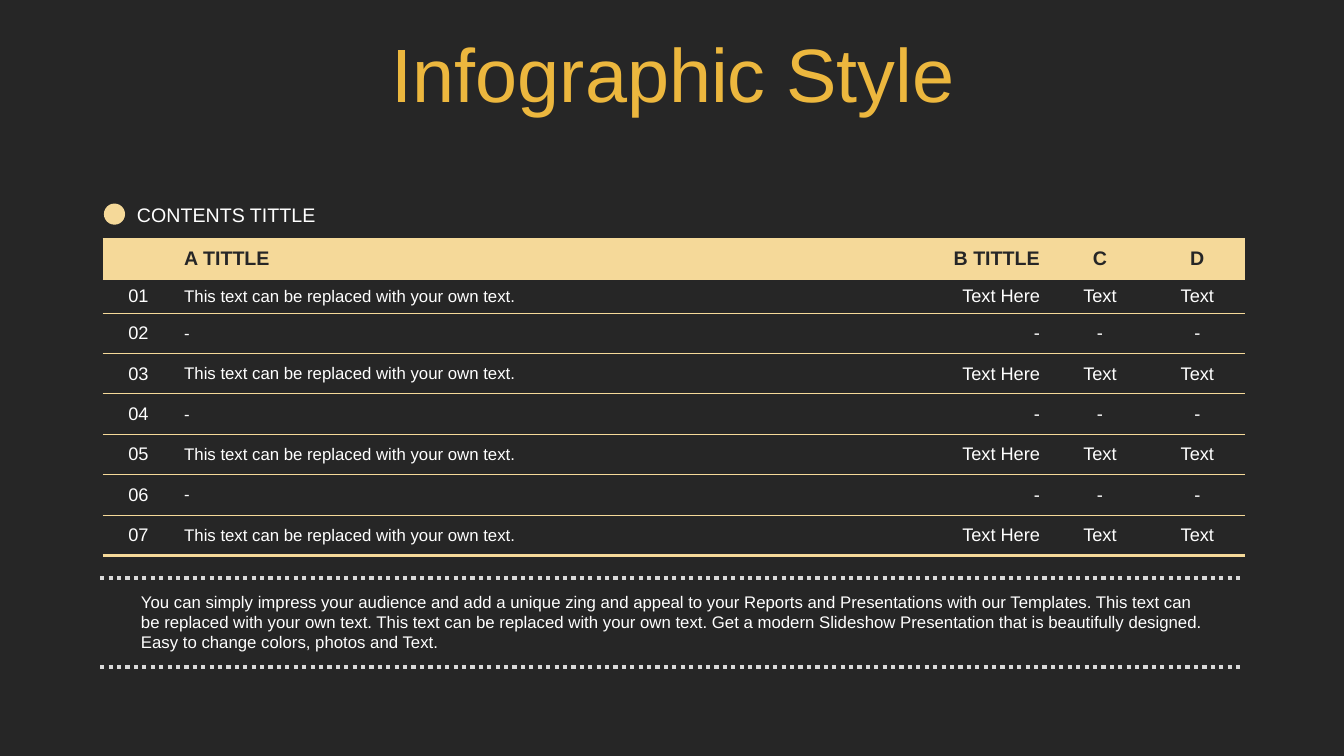
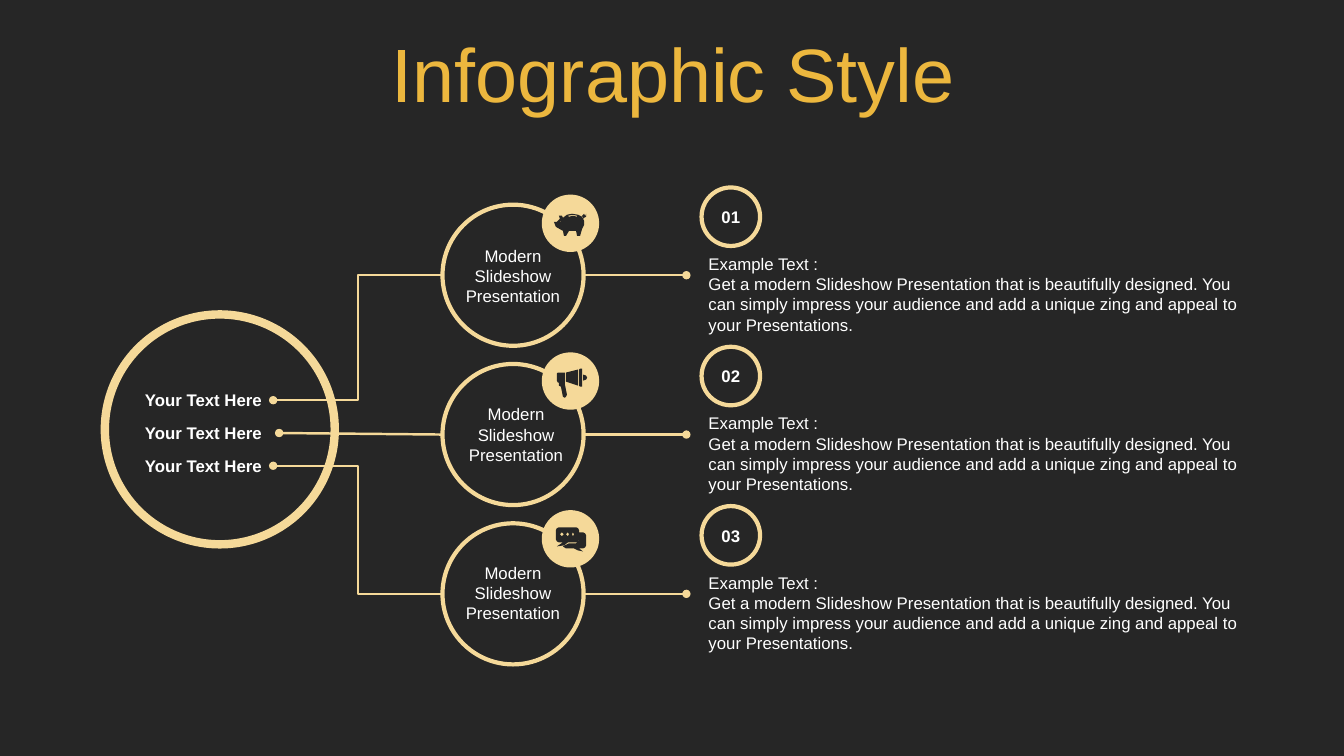
from lxml.etree import SubElement
from pptx import Presentation
from pptx.dml.color import RGBColor
from pptx.enum.dml import MSO_LINE
from pptx.enum.shapes import MSO_CONNECTOR, MSO_SHAPE
from pptx.enum.text import MSO_ANCHOR, PP_ALIGN
from pptx.oxml.ns import qn
from pptx.util import Pt

DARK, GOLD, SAND, WHITE, GREY = "262626", "ECB73E", "F5D999", "FFFFFF", "D9D9D9"
FONT = "Arial"
NO_TABLE_STYLE = "{2D5ABB26-0587-4C30-8999-92F81FD0307C}"
LEFT, CENTER, RIGHT = PP_ALIGN.LEFT, PP_ALIGN.CENTER, PP_ALIGN.RIGHT

TITLE = "Infographic Style"

# Table slide
TABLE_TITLE = "CONTENTS TITTLE"
HEADER = ("", "A TITTLE", "B TITTLE", "C", "D")
FULL_ROW = ("This text can be replaced with your own text.", "Text Here", "Text", "Text")
EMPTY_ROW = ("-",) * 4
ROWS = [HEADER] + [(f"{n:02}", *(FULL_ROW if n % 2 else EMPTY_ROW)) for n in range(1, 8)]
COL_WIDTHS = (51, 419, 206.6, 71.4, 67.8)
COL_ALIGNS = (CENTER, LEFT, RIGHT, CENTER, CENTER)
COL_SIZES = (13, 12, 13, 13, 13)
ROW_HEIGHTS = [27.4, 24.2] + [28.9] * 6
FOOTNOTE = (
    "You can simply impress your audience and add a unique zing and appeal to your "
    "Reports and Presentations with our Templates. This text can be replaced with your "
    "own text. This text can be replaced with your own text. Get a modern Slideshow "
    "Presentation that is beautifully designed. Easy to change colors, photos and Text."
)

# Diagram slide
HUB_LABEL = "Your Text Here"
NODE_TEXT = "Modern Slideshow Presentation"
DETAIL = [
    "Example Text :",
    "Get a modern Slideshow Presentation that is beautifully designed. You can simply "
    "impress your audience and add a unique zing and appeal to your Presentations.",
]

# Icon outlines, in hundredths of an inch from the corner of the badge
PIG = [
    [(30, 19), (36, 20), (40, 22), (40, 23), (41, 23), (40, 21), (42, 19), (43, 21),
     (43, 22), (44, 19), (44, 22), (42, 23), (41, 24), (42, 26), (42, 30), (40, 34),
     (38, 41), (35, 41), (34, 36), (27, 36), (24, 41), (22, 41), (21, 36), (14, 32),
     (12, 27), (15, 27), (18, 24), (17, 21), (20, 21), (21, 23), (25, 20)],
    [(18, 26), (19, 27), (18, 27)],
    [(26, 21), (27, 22), (31, 21), (35, 22), (35, 21), (31, 20)],
]
MEGAPHONE = [
    [(23, 30), (23, 32), (25, 42), (24, 44), (23, 45), (21, 44), (19, 34), (17, 33), (17, 30)],
    [(41, 22), (44, 23), (45, 25), (44, 27), (41, 28)],
    [(16, 20), (23, 20), (23, 30), (16, 30), (15, 28), (15, 21)],
    [(36, 17), (36, 33), (24, 29), (24, 20)],
    [(38, 16), (40, 16), (40, 34), (38, 34), (37, 33), (37, 17)],
]
CHAT = [
    [(17, 17), (34, 17), (36, 18), (37, 20), (37, 29), (36, 31), (34, 32), (26, 32),
     (22, 35), (15, 36), (21, 32), (17, 32), (15, 31), (14, 29), (14, 20), (15, 18)],
    [(37, 22), (41, 22), (43, 23), (44, 25), (44, 35), (43, 37), (41, 38), (37, 38),
     (41, 41), (36, 40), (32, 38), (24, 38), (21, 36), (27, 33), (34, 33), (37, 30)],
] + [[(x - 1.5, 24), (x, 22.5), (x + 1.5, 24), (x, 25.5)] for x in (20, 25.5, 31)]
ICONS = (PIG, MEGAPHONE, CHAT)


def rgb(color):
    return RGBColor.from_string(color)


def write(tf, text, size=12, color=WHITE, bold=False, align=LEFT, spacing=None):
    """Fill a text frame with one paragraph, or one for each item of a list."""
    for i, line in enumerate([text] if isinstance(text, str) else text):
        p = tf.add_paragraph() if i else tf.paragraphs[0]
        p.alignment = align
        if spacing:
            p.line_spacing = spacing
        r = p.add_run()
        r.text = line
        r.font.name, r.font.size, r.font.bold = FONT, Pt(size), bold
        r.font.color.rgb = rgb(color)


def add_text(slide, text, x, y, w, h, anchor=MSO_ANCHOR.TOP, **fmt):
    tf = slide.shapes.add_textbox(Pt(x), Pt(y), Pt(w), Pt(h)).text_frame
    tf.word_wrap = True
    tf.vertical_anchor = anchor
    write(tf, text, **fmt)


def add_circle(slide, x, y, size, ring=None):
    """Add a filled disc, or an open ring when a line width is given."""
    sp = slide.shapes.add_shape(MSO_SHAPE.OVAL, Pt(x), Pt(y), Pt(size), Pt(size))
    sp.shadow.inherit = False
    if ring:
        sp.fill.background()
        sp.line.color.rgb = rgb(SAND)
        sp.line.width = Pt(ring)
    else:
        sp.fill.solid()
        sp.fill.fore_color.rgb = rgb(SAND)
        sp.line.fill.background()
    return sp


def add_line(slide, x1, y1, x2, y2, width, color=SAND, kind=MSO_CONNECTOR.STRAIGHT,
             dash=None, dot=False):
    """Add a connector; dot puts a round head on its start."""
    line = slide.shapes.add_connector(kind, Pt(x1), Pt(y1), Pt(x2), Pt(y2))
    line.line.color.rgb = rgb(color)
    line.line.width = Pt(width)
    if dash:
        line.line.dash_style = dash
    if dot:
        SubElement(line.line._get_or_add_ln(), qn("a:headEnd"), type="oval")
    SubElement(line._element.spPr, qn("a:effectLst"))


def add_icon(slide, contours, x, y):
    builder = None
    for start, *rest in contours:
        if builder is None:
            builder = slide.shapes.build_freeform(*start, scale=Pt(0.72))
        else:
            builder.move_to(*start)
        builder.add_line_segments(rest, close=True)
    sp = builder.convert_to_shape(Pt(x), Pt(y))
    sp.shadow.inherit = False
    sp.fill.solid()
    sp.fill.fore_color.rgb = rgb(DARK)
    sp.line.fill.background()


def set_border(cell, side, width):
    ln = SubElement(cell._tc.get_or_add_tcPr(), qn(f"a:{side}"), w=str(Pt(width)))
    fill = SubElement(ln, qn("a:solidFill"))
    SubElement(fill, qn("a:srgbClr"), val=SAND)


def add_slide(prs):
    """Add a dark slide with the shared title."""
    slide = prs.slides.add_slide(prs.slide_layouts[6])
    slide.background.fill.solid()
    slide.background.fill.fore_color.rgb = rgb(DARK)
    add_text(slide, TITLE, 25.2, 22.3, 911.6, 66.2, anchor=MSO_ANCHOR.MIDDLE,
             size=54, color=GOLD, align=CENTER, spacing=0.9)
    return slide


def add_contents_table(slide, x, y):
    frame = slide.shapes.add_table(len(ROWS), len(HEADER), Pt(x), Pt(y),
                                   Pt(sum(COL_WIDTHS)), Pt(sum(ROW_HEIGHTS)))
    table = frame.table
    table.first_row = table.horz_banding = False
    table._tbl.tblPr.find(qn("a:tableStyleId")).text = NO_TABLE_STYLE
    for column, width in zip(table.columns, COL_WIDTHS):
        column.width = Pt(width)
    rules = [0.75, 1] + [0.75] * (len(ROWS) - 2) + [2.25]
    for i, values in enumerate(ROWS):
        table.rows[i].height = Pt(ROW_HEIGHTS[i])
        for j, value in enumerate(values):
            cell = table.cell(i, j)
            cell.vertical_anchor = MSO_ANCHOR.MIDDLE
            set_border(cell, "lnT", rules[i])
            set_border(cell, "lnB", rules[i + 1])
            if i == 0:
                cell.fill.solid()
                cell.fill.fore_color.rgb = rgb(SAND)
                fmt = dict(size=14, color=DARK, bold=True)
            else:
                cell.fill.background()
                fmt = dict(size=COL_SIZES[j])
            write(cell.text_frame, value, align=COL_ALIGNS[j], **fmt)


def build_table_slide(prs):
    slide = add_slide(prs)
    add_contents_table(slide, 73.4, 170.6)
    add_text(slide, FOOTNOTE, 93.6, 419, 774, 51)
    for y in (412.6, 476.4):
        add_line(slide, 71.6, y, 888, y, 3, color=GREY, dash=MSO_LINE.ROUND_DOT)
    add_text(slide, TABLE_TITLE, 90.7, 141.1, 226.8, 24.5, size=14)
    add_circle(slide, 74.2, 145.4, 15.1)


def build_diagram_slide(prs):
    slide = add_slide(prs)
    pitch, ring, ring_x = 113.8, 100.8, 316.1
    add_circle(slide, 74.9, 224.6, 164.2, ring=6)
    for i, icon in enumerate(ICONS):
        mid = 196.6 + i * pitch
        straight = i == 1
        label_y = 275 + i * 23.4

        add_circle(slide, ring_x, mid - ring / 2, ring, ring=3)
        add_line(slide, 199.4 if straight else 195.1, label_y + 10.9, ring_x, mid, 1.75,
                 kind=MSO_CONNECTOR.STRAIGHT if straight else MSO_CONNECTOR.ELBOW, dot=True)
        add_text(slide, HUB_LABEL, 96.5, label_y, 103, 21.6, bold=True)
        add_text(slide, NODE_TEXT, 327.6 if straight else 325.4, 172.1 + i * 113, 82.1, 51,
                 align=CENTER)

        badge_x, badge_y = 387, 139 + i * 112.7
        add_circle(slide, badge_x, badge_y, 41)
        add_icon(slide, icon, badge_x, badge_y)

        add_text(slide, DETAIL, 499, mid - 18.8, 400.3, 65.5)
        number = add_circle(slide, 501.1, mid - 62.7, 41.8, ring=3)
        number.text_frame.vertical_anchor = MSO_ANCHOR.MIDDLE
        write(number.text_frame, f"{i + 1:02}", bold=True, align=CENTER)
        add_line(slide, 490.3, mid, ring_x + ring, mid, 1.5, dot=True)


def main():
    prs = Presentation()
    prs.slide_width, prs.slide_height = Pt(960), Pt(540)
    build_table_slide(prs)
    build_diagram_slide(prs)
    prs.save("out.pptx")


if __name__ == "__main__":
    main()
